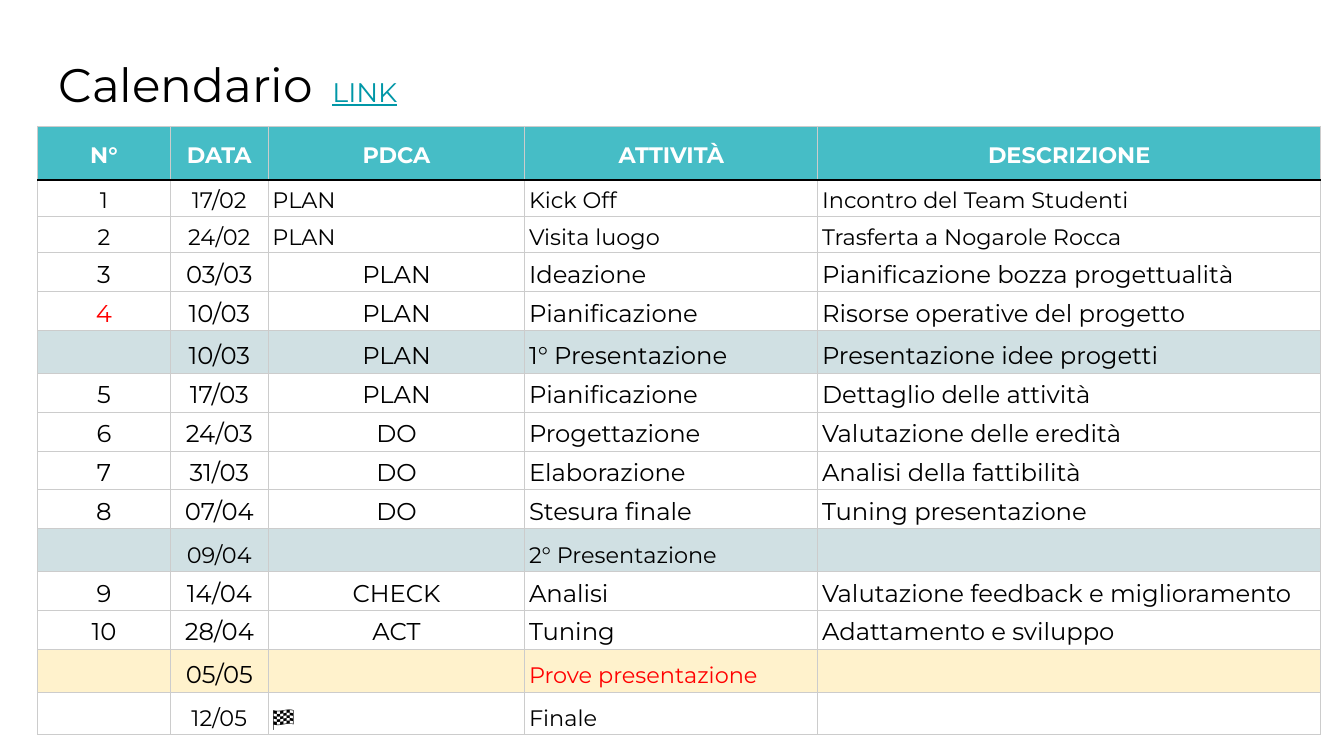
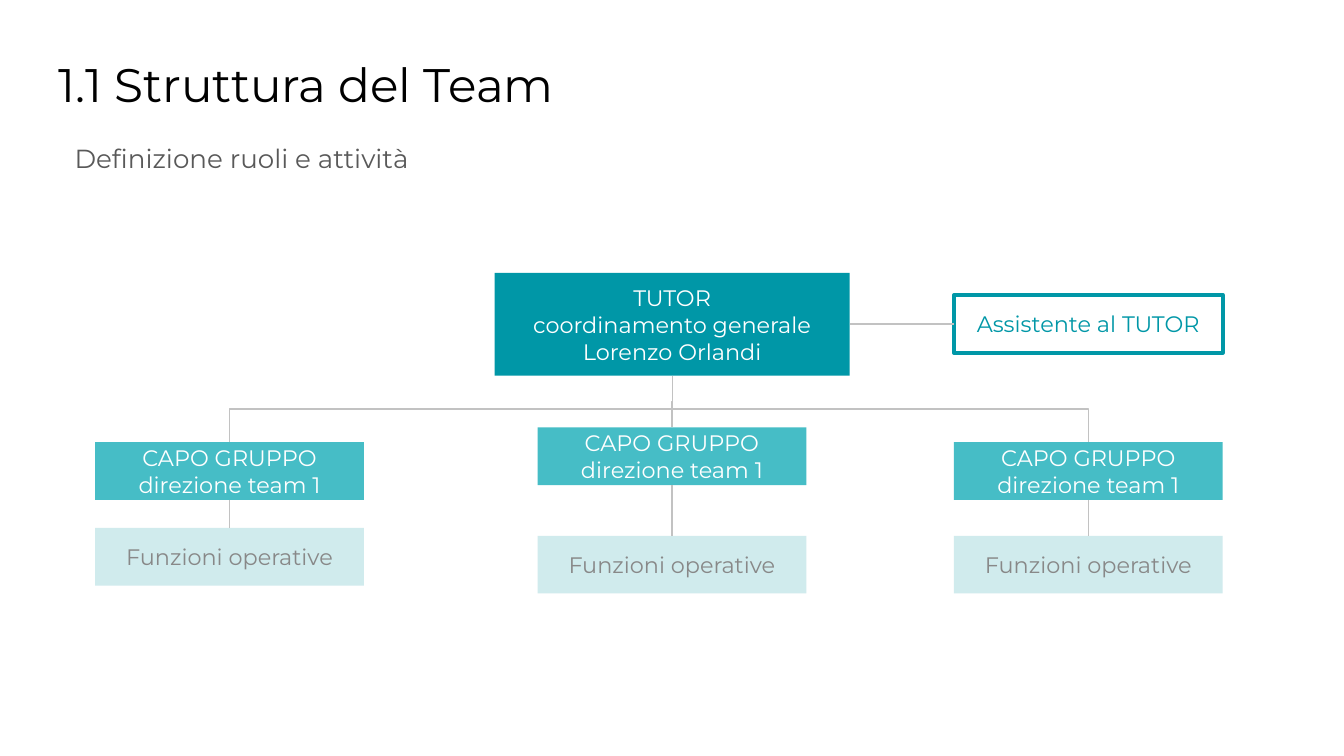
from dataclasses import dataclass, field

from lxml.etree import SubElement
from pptx import Presentation
from pptx.dml.color import RGBColor
from pptx.enum.shapes import MSO_CONNECTOR, MSO_SHAPE
from pptx.enum.text import MSO_ANCHOR, PP_ALIGN
from pptx.oxml.ns import qn
from pptx.util import Cm, Pt


@dataclass(frozen=True)
class Theme:
    font: str = "Montserrat"
    black: str = "000000"
    white: str = "FFFFFF"
    teal: str = "0097A7"
    aqua: str = "46BDC6"
    pale_aqua: str = "D0EBED"
    milestone: str = "D0E0E3"
    rehearsal: str = "FFF2CC"
    red: str = "FF0000"
    subtitle_grey: str = "595959"
    box_grey: str = "888888"
    connector: str = "C2C2C2"
    grid: str = "CCCCCC"
    title_size: float = 25.2
    link_size: float = 14.4
    subtitle_size: float = 14
    large_size: float = 13
    base_size: float = 12


T = Theme()
INSET = 0.25
LINE_SPACING = 1.15


@dataclass(frozen=True)
class Entry:
    values: tuple[str, str, str, str, str]
    size: float = T.large_size
    fill: str | None = None
    formats: dict[int, dict] = field(default_factory=dict)


@dataclass(frozen=True)
class Box:
    """A box of the team chart, in centimetres."""
    left: float
    top: float
    lines: tuple[str, ...]
    fill: str
    color: str = T.white
    line: str | None = None
    width: float = 5.08
    height: float = 1.09

    @property
    def upper(self) -> tuple[float, float]:
        return self.left + self.width / 2, self.top

    @property
    def lower(self) -> tuple[float, float]:
        return self.left + self.width / 2, self.top + self.height


HEADINGS = ("N°", "DATA", "PDCA", "ATTIVITÀ", "DESCRIZIONE")
COLUMN_WIDTHS = (2.51, 1.85, 4.85, 5.54, 9.5)
HEADER_HEIGHT, ROW_HEIGHT, SPARSE_ROW_HEIGHT = 1.02, 0.66, 0.81
PHASE_COLUMN = 2

CALENDAR = (
    Entry(("1", "17/02", "PLAN", "Kick Off", "Incontro del Team Studenti"), T.base_size),
    Entry(("2", "24/02", "PLAN", "Visita luogo", "Trasferta a Nogarole Rocca"), T.base_size),
    Entry(("3", "03/03", "PLAN", "Ideazione", "Pianificazione bozza progettualità")),
    Entry(("4", "10/03", "PLAN", "Pianificazione", "Risorse operative del progetto"),
          formats={0: {"color": T.red}}),
    Entry(("", "10/03", "PLAN", "1° Presentazione", "Presentazione idee progetti"),
          fill=T.milestone),
    Entry(("5", "17/03", "PLAN", "Pianificazione", "Dettaglio delle attività")),
    Entry(("6", "24/03", "DO", "Progettazione", "Valutazione delle eredità")),
    Entry(("7", "31/03", "DO", "Elaborazione", "Analisi della fattibilità")),
    Entry(("8", "07/04", "DO", "Stesura finale", "Tuning presentazione")),
    Entry(("", "09/04", "", "2° Presentazione", ""), T.base_size, T.milestone),
    Entry(("9", "14/04", "CHECK", "Analisi", "Valutazione feedback e miglioramento")),
    Entry(("10", "28/04", "ACT", "Tuning", "Adattamento e sviluppo")),
    Entry(("", "05/05", "", "Prove presentazione", ""), fill=T.rehearsal,
          formats={3: {"color": T.red, "size": T.base_size}}),
    Entry(("", "12/05", "🏁", "Finale", ""), T.base_size),
)


def rgb(value: str) -> RGBColor:
    return RGBColor.from_string(value)


def set_attributes(target, formats: dict) -> None:
    for name, value in formats.items():
        setattr(target, name, value)


def add_run(p, text: str, size: float, color: str, **formats) -> None:
    r = p.add_run()
    r.text = text
    set_attributes(r.font, {"name": T.font, "size": Pt(size), **formats})
    r.font.color.rgb = rgb(color)


def set_frame(tf, anchor: MSO_ANCHOR) -> None:
    sides = ("left", "top", "right", "bottom")
    set_attributes(tf, {f"margin_{side}": Cm(INSET) for side in sides})
    set_attributes(tf, {"word_wrap": True, "vertical_anchor": anchor})


def add_text(s, left: float, top: float, width: float, height: float):
    """Add a text box and return its first paragraph."""
    tf = s.shapes.add_textbox(Cm(left), Cm(top), Cm(width), Cm(height)).text_frame
    set_frame(tf, MSO_ANCHOR.TOP)
    return tf.paragraphs[0]


def add_title(s, text: str):
    p = add_text(s, 0.86, 0.79, 22.07, 1.6)
    add_run(p, text, T.title_size, T.black)
    return p


def set_borders(cell, bottom: tuple[str, float], top: tuple[str, float]) -> None:
    thin = (T.grid, 0.6)
    for side, (color, width) in zip("LRTB", (thin, thin, top, bottom)):
        ln = SubElement(cell._tc.get_or_add_tcPr(), qn(f"a:ln{side}"), w=str(Pt(width)))
        solid = SubElement(ln, qn("a:solidFill"))
        SubElement(solid, qn("a:srgbClr"), val=color)


def fill_cell(cell, text: str, fill: str | None, align: PP_ALIGN, anchor: MSO_ANCHOR,
              size: float, color: str, bold: bool = False) -> None:
    set_attributes(cell, {"margin_left": Cm(0.08), "margin_right": Cm(0.08),
                          "margin_top": Cm(0.05), "margin_bottom": Cm(0.05),
                          "vertical_anchor": anchor})
    if fill:
        cell.fill.solid()
        cell.fill.fore_color.rgb = rgb(fill)
    else:
        cell.fill.background()
    p = cell.text_frame.paragraphs[0]
    set_attributes(p, {"alignment": align, "line_spacing": LINE_SPACING})
    if text:
        add_run(p, text, size, color, bold=bold)
    else:
        SubElement(p._p, qn("a:endParaRPr"), sz=str(int(size * 100)))


def add_calendar(s) -> None:
    table = s.shapes.add_table(len(CALENDAR) + 1, len(HEADINGS), Cm(0.71), Cm(2.39),
                               Cm(sum(COLUMN_WIDTHS)), Cm(HEADER_HEIGHT)).table
    set_attributes(table, {"first_row": False, "horz_banding": False})
    for column, width in zip(table.columns, COLUMN_WIDTHS):
        column.width = Cm(width)
    thin, thick = (T.grid, 0.6), (T.black, 1.2)

    table.rows[0].height = Cm(HEADER_HEIGHT)
    for cell, heading in zip(table.rows[0].cells, HEADINGS):
        set_borders(cell, bottom=thick, top=thin)
        fill_cell(cell, heading, T.aqua, PP_ALIGN.CENTER, MSO_ANCHOR.MIDDLE,
                  T.base_size, T.white, bold=True)

    for i, entry in enumerate(CALENDAR, start=1):
        row = table.rows[i]
        row.height = Cm(ROW_HEIGHT if all(entry.values) else SPARSE_ROW_HEIGHT)
        for j, (cell, value) in enumerate(zip(row.cells, entry.values)):
            centred = j < PHASE_COLUMN or (j == PHASE_COLUMN and entry.size == T.large_size)
            formats = {"size": entry.size, "color": T.black, **entry.formats.get(j, {})}
            set_borders(cell, bottom=thin, top=thick if i == 1 else thin)
            fill_cell(cell, value, entry.fill, PP_ALIGN.CENTER if centred else PP_ALIGN.LEFT,
                      MSO_ANCHOR.BOTTOM, **formats)


def add_box(s, box: Box) -> None:
    sp = s.shapes.add_shape(MSO_SHAPE.RECTANGLE, Cm(box.left), Cm(box.top),
                            Cm(box.width), Cm(box.height))
    sp.shadow.inherit = False
    sp.fill.solid()
    sp.fill.fore_color.rgb = rgb(box.fill)
    if box.line:
        sp.line.color.rgb = rgb(box.line)
        sp.line.width = Pt(2.25)
    else:
        sp.line.fill.background()
    tf = sp.text_frame
    set_frame(tf, MSO_ANCHOR.MIDDLE)
    for i, line in enumerate(box.lines):
        p = tf.add_paragraph() if i else tf.paragraphs[0]
        p.alignment = PP_ALIGN.CENTER
        add_run(p, line, T.base_size, box.color)


def add_elbow(s, x1: float, y1: float, x2: float, y2: float):
    cx = s.shapes.add_connector(MSO_CONNECTOR.ELBOW, Cm(x1), Cm(y1), Cm(x2), Cm(y2))
    cx.line.color.rgb = rgb(T.connector)
    cx.line.width = Pt(0.75)
    SubElement(cx._element.spPr, qn("a:effectLst"))
    return cx


def add_branch(s, start: tuple[float, float], end: tuple[float, float]) -> None:
    """Join two points with an elbow that leaves and arrives vertically."""
    (x1, y1), (x2, y2) = sorted((start, end))
    mid_x, mid_y = (x1 + x2) / 2, (y1 + y2) / 2
    half_w, half_h = (y1 - y2) / 2, (x2 - x1) / 2
    cx = add_elbow(s, mid_x - half_w, mid_y - half_h, mid_x + half_w, mid_y + half_h)
    cx._element.spPr.find(qn("a:xfrm")).set("rot", str(270 * 60000))


def build_calendar_slide(s) -> None:
    p = add_title(s, "Calendario ")
    add_run(p, " ", T.link_size, T.teal)
    add_run(p, "LINK", T.link_size, T.teal, underline=True)
    add_calendar(s)


def build_team_slide(s) -> None:
    add_title(s, "1.1 Struttura del Team")
    p = add_text(s, 0.86, 2.36, 23.67, 1.83)
    p.line_spacing = LINE_SPACING
    p._p.get_or_add_pPr().set("marL", str(Cm(0.3)))
    add_run(p, "Definizione ruoli e attività", T.subtitle_size, T.subtitle_grey)

    tutor = Box(9.35, 5.16, ("TUTOR", "coordinamento generale", "Lorenzo Orlandi"),
                T.teal, width=6.71, height=1.94)
    assistant = Box(18.03, 5.58, ("Assistente al TUTOR",), T.white, T.teal, T.teal)
    add_box(s, tutor)
    add_box(s, assistant)
    middle = assistant.top + assistant.height / 2
    add_elbow(s, tutor.left + tutor.width, middle, assistant.left, middle)

    for left, leader_top, duties_top in ((1.8, 8.36, 9.98), (10.16, 8.08, 10.13),
                                         (18.03, 8.36, 10.13)):
        leader = Box(left, leader_top, ("CAPO GRUPPO", "direzione team 1"), T.aqua)
        duties = Box(left, duties_top, ("Funzioni operative",), T.pale_aqua, T.box_grey)
        add_box(s, leader)
        add_box(s, duties)
        add_branch(s, tutor.lower, leader.upper)
        add_branch(s, leader.lower, duties.upper)


def main() -> None:
    prs = Presentation()
    set_attributes(prs, {"slide_width": Cm(25.4), "slide_height": Cm(14.29)})
    for build in (build_calendar_slide, build_team_slide):
        build(prs.slides.add_slide(prs.slide_layouts[6]))
    prs.save("out.pptx")


if __name__ == "__main__":
    main()
